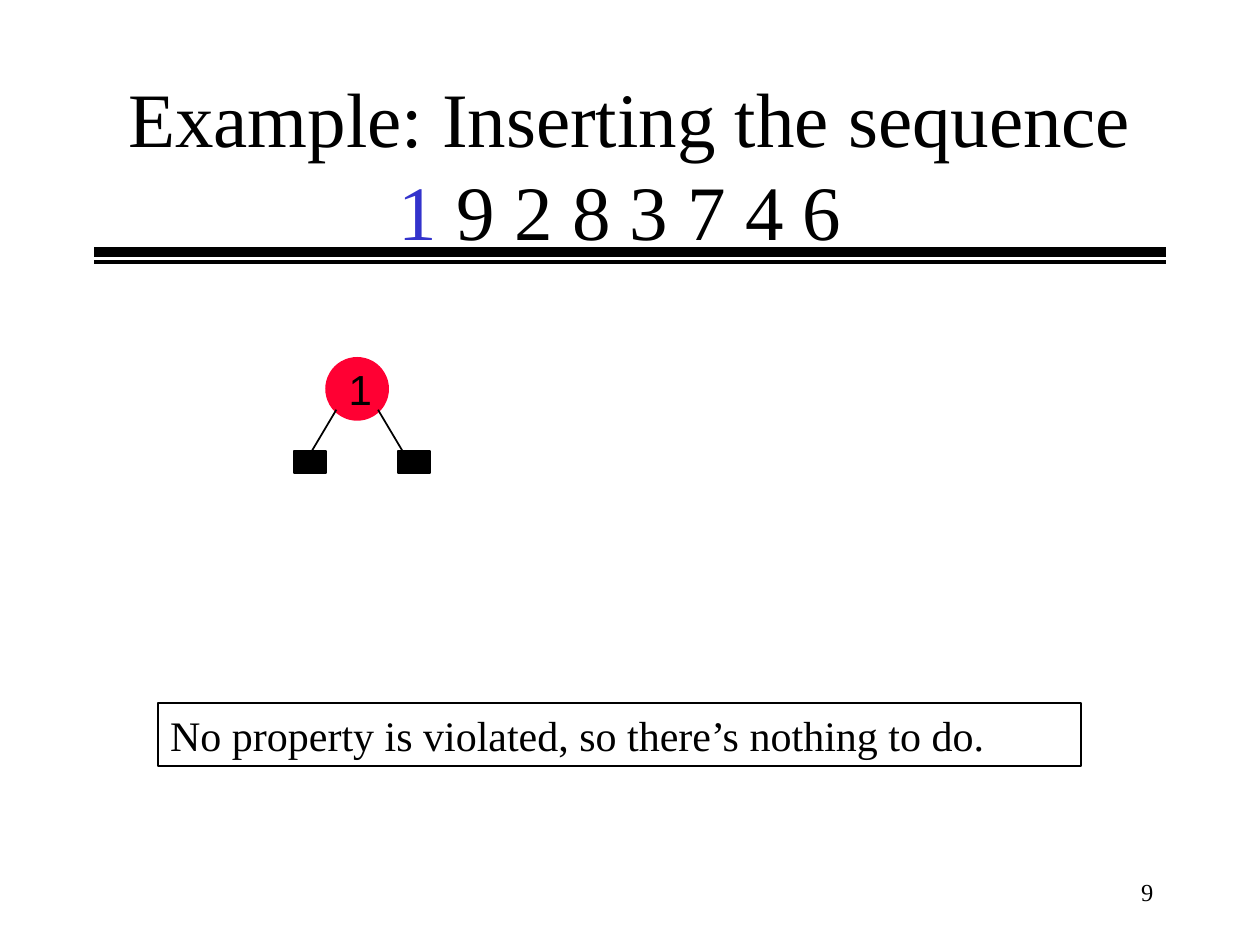
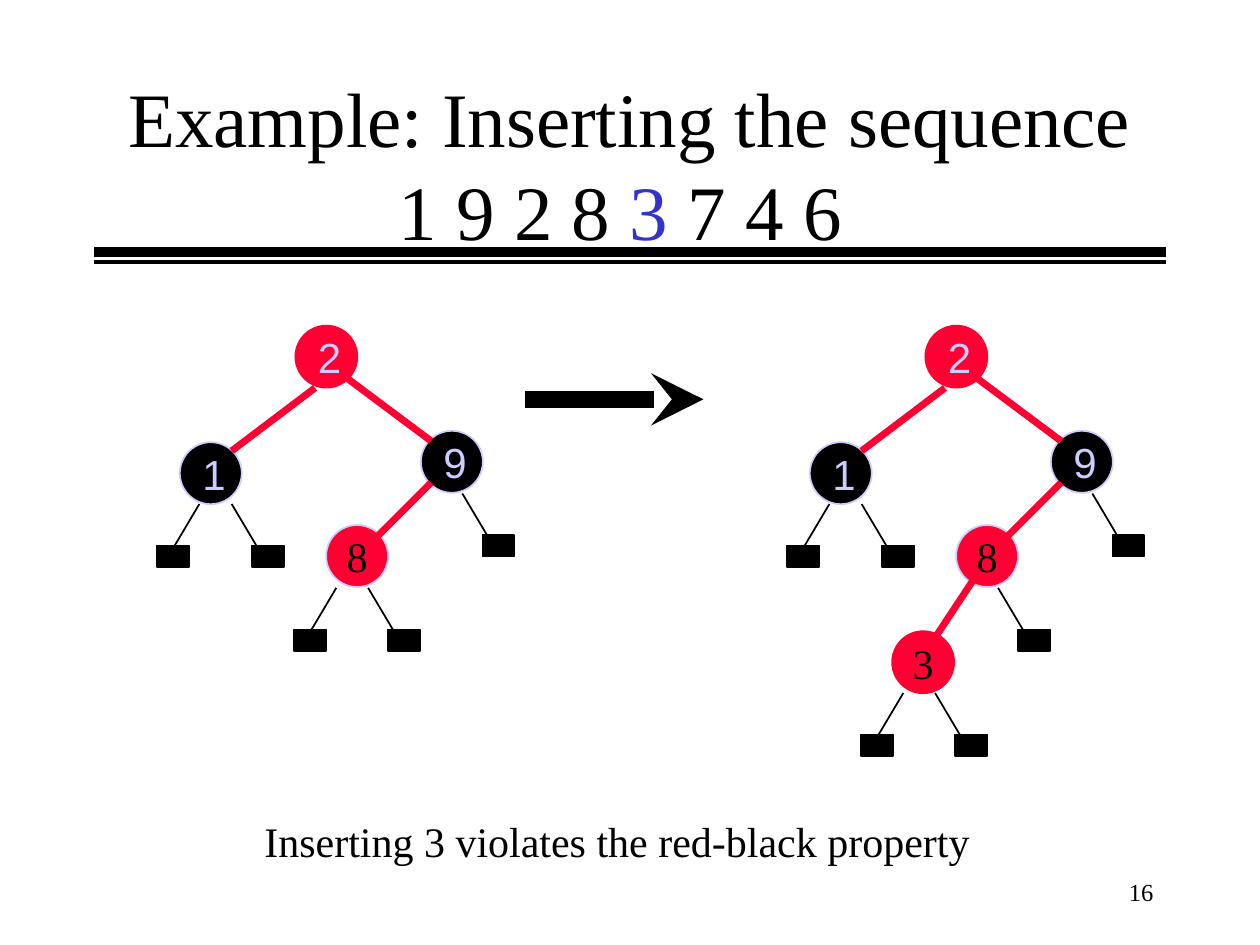
from lxml.etree import SubElement
from pptx import Presentation
from pptx.dml.color import RGBColor
from pptx.enum.shapes import MSO_CONNECTOR, MSO_SHAPE
from pptx.enum.text import MSO_ANCHOR, PP_ALIGN
from pptx.oxml.ns import qn
from pptx.util import Cm, Pt

BLACK, RED, LAVENDER, BLUE = "000000", "FF0033", "CCCCFF", "3333CC"
SERIF, SANS = "Times New Roman", "Arial"
SEQUENCE = "19283746"
LEFT, RIGHT = -1, 1
TREE_SHIFT = 12.7

NODES = [
    ("2", 6.58, 7.19, RED, RED, LAVENDER, SANS),
    ("9", 9.11, 9.31, BLACK, LAVENDER, LAVENDER, SANS),
    ("8", 7.2, 11.21, RED, LAVENDER, BLACK, SERIF),
    ("1", 4.25, 9.54, BLACK, LAVENDER, LAVENDER, SANS),
]
EDGES = [
    (6.99, 7.62, 8.69, 8.89),
    (8.69, 9.73, 7.42, 11),
    (6.35, 7.82, 4.67, 9.09),
]
LEAVES = [
    (4.02, 10.16, LEFT),
    (4.67, 10.16, RIGHT),
    (7.42, 11.85, RIGHT),
    (9.32, 9.95, RIGHT),
]
LEAF_BEFORE = (6.78, 11.85, LEFT)
NEW_NODE = ("3", 5.91, 13.35, RED, RED, BLACK, SERIF)
NEW_EDGE = (6.96, 11.63, 6.12, 12.9)
NEW_LEAVES = [(5.51, 13.97, LEFT), (6.15, 13.97, RIGHT)]


def color(value):
    return RGBColor.from_string(value)


class TreeDeck:
    node_size = 1.25

    def __init__(self):
        self.deck = Presentation()
        self.deck.slide_width = Cm(25.4)
        self.deck.slide_height = Cm(19.05)
        self.page = None

    def start_page(self, inserted, number):
        self.page = self.deck.slides.add_slide(self.deck.slide_layouts[6])
        self.line(1.9, 5.08, 23.5, 5.08, BLACK, 6)
        self.line(1.9, 5.28, 23.5, 5.28, BLACK, 2)
        before, after = SEQUENCE.split(inserted)
        spans = [
            ("Example: Inserting the sequence " + "".join(f"{digit} " for digit in before), BLACK),
            (inserted, BLUE),
            ("".join(f" {digit}" for digit in after) + " ", BLACK),
        ]
        self.text(1.9, 1.7, 21.6, 3.18, spans, 44, PP_ALIGN.CENTER, MSO_ANCHOR.MIDDLE)
        self.text(18.2, 17.35, 5.3, 1.27, [(number, BLACK)], 14, PP_ALIGN.RIGHT, MSO_ANCHOR.MIDDLE)

    def text(self, left, top, width, height, spans, size,
             align=PP_ALIGN.LEFT, anchor=MSO_ANCHOR.TOP):
        box = self.page.shapes.add_textbox(Cm(left), Cm(top), Cm(width), Cm(height))
        frame = box.text_frame
        frame.word_wrap = True
        frame.vertical_anchor = anchor
        paragraph = frame.paragraphs[0]
        paragraph.alignment = align
        paragraph.font.size = Pt(size)
        paragraph.font.name = SERIF
        for words, tint in spans:
            span = paragraph.add_run()
            span.text = words
            span.font.color.rgb = color(tint)
        return box

    def caption(self, left, top, width, words, framed=False):
        box = self.text(left, top, width, 1.27, [(words, BLACK)], 24)
        if framed:
            box.line.color.rgb = color(BLACK)
            box.line.width = Pt(1)

    def line(self, x1, y1, x2, y2, tint, weight, arrow=False):
        connector = self.page.shapes.add_connector(
            MSO_CONNECTOR.STRAIGHT, Cm(x1), Cm(y1), Cm(x2), Cm(y2))
        connector.line.color.rgb = color(tint)
        connector.line.width = Pt(weight)
        if arrow:
            SubElement(connector.line._get_or_add_ln(), qn("a:tailEnd"), type="stealth")
        SubElement(connector._element.spPr, qn("a:effectLst"))

    def shape(self, kind, left, top, width, height, fill, outline):
        shape = self.page.shapes.add_shape(kind, Cm(left), Cm(top), Cm(width), Cm(height))
        shape.shadow.inherit = False
        shape.fill.solid()
        shape.fill.fore_color.rgb = color(fill)
        shape.line.color.rgb = color(outline)
        shape.line.width = Pt(1)
        return shape

    def node(self, label, x, y, fill, outline, ink, font):
        size = self.node_size
        circle = self.shape(MSO_SHAPE.OVAL, x - size / 2, y - size / 2, size, size, fill, outline)
        frame = circle.text_frame
        frame.word_wrap = False
        frame.vertical_anchor = MSO_ANCHOR.MIDDLE
        frame.margin_left = Cm(0.13 if font == SANS else 0)
        frame.margin_right = frame.margin_top = frame.margin_bottom = Cm(0)
        paragraph = frame.paragraphs[0]
        paragraph.text = label
        paragraph.alignment = PP_ALIGN.CENTER
        paragraph.font.size = Pt(24)
        paragraph.font.name = font
        paragraph.font.color.rgb = color(ink)

    def leaf(self, x, y, side):
        end_x, end_y = x + side * 0.63, y + 1.06
        self.line(x, y, end_x, end_y, BLACK, 1)
        self.shape(MSO_SHAPE.RECTANGLE, end_x - 0.22, end_y - 0.22, 0.64, 0.43, BLACK, BLACK)

    def tree(self, nodes, edges, leaves, shift=0):
        for label, x, y, *style in nodes:
            self.node(label, x + shift, y, *style)
        for x1, y1, x2, y2 in edges:
            self.line(x1 + shift, y1, x2 + shift, y2, RED, 4)
        for x, y, side in leaves:
            self.leaf(x + shift, y, side)


def main():
    show = TreeDeck()

    show.start_page("1", "9")
    show.tree([("1", 7.2, 7.84, RED, RED, BLACK, SANS)], [],
              [(6.78, 8.26, LEFT), (7.62, 8.26, RIGHT)])
    show.caption(3.18, 14.17, 18.62, "No property is violated, so there’s nothing to do.", framed=True)

    show.start_page("3", "16")
    show.caption(5.08, 16.31, 15.47, "Inserting 3 violates the red-black property")
    show.line(10.58, 8.05, 14.18, 8.05, BLACK, 10, arrow=True)
    show.tree(NODES, EDGES, LEAVES + [LEAF_BEFORE])
    show.tree(NODES + [NEW_NODE], EDGES + [NEW_EDGE], LEAVES + NEW_LEAVES, TREE_SHIFT)

    show.deck.save("out.pptx")


if __name__ == "__main__":
    main()
